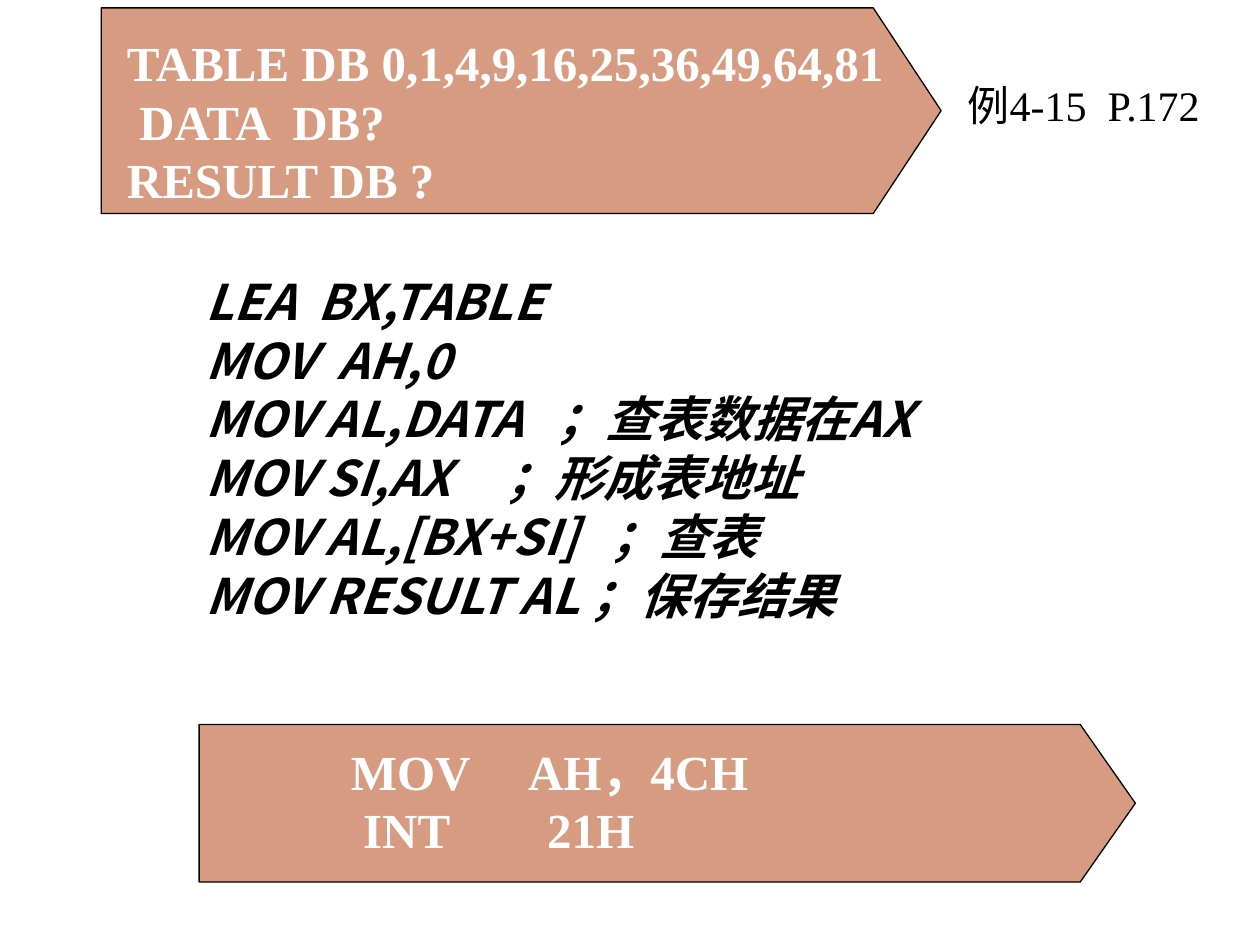
"""Build the table lookup slide: data, code and exit steps."""
from pptx import Presentation
from pptx.dml.color import RGBColor as Rgb
from pptx.enum.shapes import MSO_SHAPE as Form
from pptx.enum.text import MSO_ANCHOR as Anchor
from pptx.oxml.ns import qn
from pptx.util import Pt
from lxml.etree import SubElement as Sub


def hue(code):
    return Rgb.from_string(code)


def write(spot, lines, size, face, tint, **style):
    box = slide.shapes.add_textbox(*map(Pt, spot))
    frame = box.text_frame
    frame.word_wrap = True
    frame.vertical_anchor = Anchor.TOP
    for i, line in enumerate(lines):
        para = frame.paragraphs[0] if i == 0 else frame.add_paragraph()
        para.line_spacing = Pt(size * 1.2)
        run = para.add_run()
        run.text = line
        font = run.font
        for key, val in {"size": Pt(size), "name": face, **style}.items():
            setattr(font, key, val)
        font.color.rgb = hue(tint)
        Sub(run._r.get_or_add_rPr(), qn("a:ea")).set("typeface", SANS)


SANS, SERIF = "Noto Sans CJK SC", "Times New Roman"
BLACK, WHITE, CLAY = "000000", "FFFFFF", "D69B80"

deck = Presentation()
deck.slide_width, deck.slide_height = Pt(720), Pt(540)
slide = deck.slides.add_slide(deck.slide_layouts[6])

code = [
    "       LEA  BX,TABLE",
    "       MOV  AH,0",
    "       MOV AL,DATA   ；查表数据在AX",
    "       MOV SI,AX     ；形成表地址",
    "       MOV AL,[BX+SI]   ；查表",
    "       MOV RESULT AL ；保存结果",
]
write((66, 151.5, 654, 242.6), code, 28, SANS, BLACK, bold=True, italic=True)

data = ["TABLE DB 0,1,4,9,16,25,36,49,64,81", " DATA  DB?", "RESULT DB ?"]
leave = ["           MOV     AH，4CH", "            INT        21H"]
plates = [
    ((57.8, 4.5, 480, 117.5), 0.33, (65.5, 15, 468, 108), data),
    ((113.8, 414, 535, 90), 0.35, (116.6, 420, 554.4, 74.2), leave),
]
for area, tip, spot, lines in plates:
    plate = slide.shapes.add_shape(Form.PENTAGON, *map(Pt, area))
    plate.adjustments[0] = tip
    plate.shadow.inherit = False
    plate.fill.solid()
    plate.fill.fore_color.rgb = hue(CLAY)
    plate.line.color.rgb = hue(BLACK)
    plate.line.width = Pt(0.75)
    write(spot, lines, 28, SERIF, WHITE, bold=True)

write((545.8, 41.8, 156.2, 36), ["例4-15  P.172"], 24, SERIF, BLACK)

deck.save("out.pptx")
